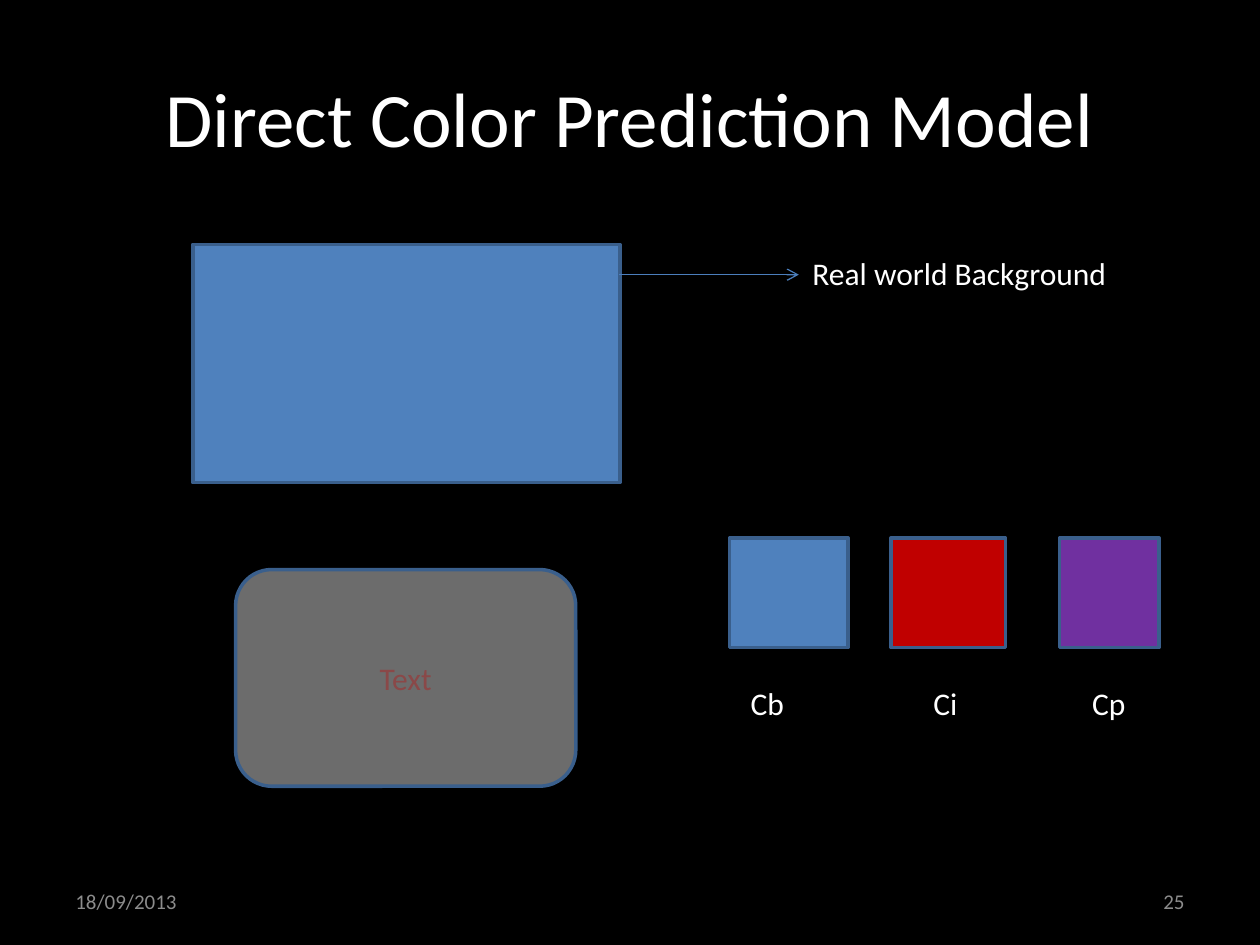
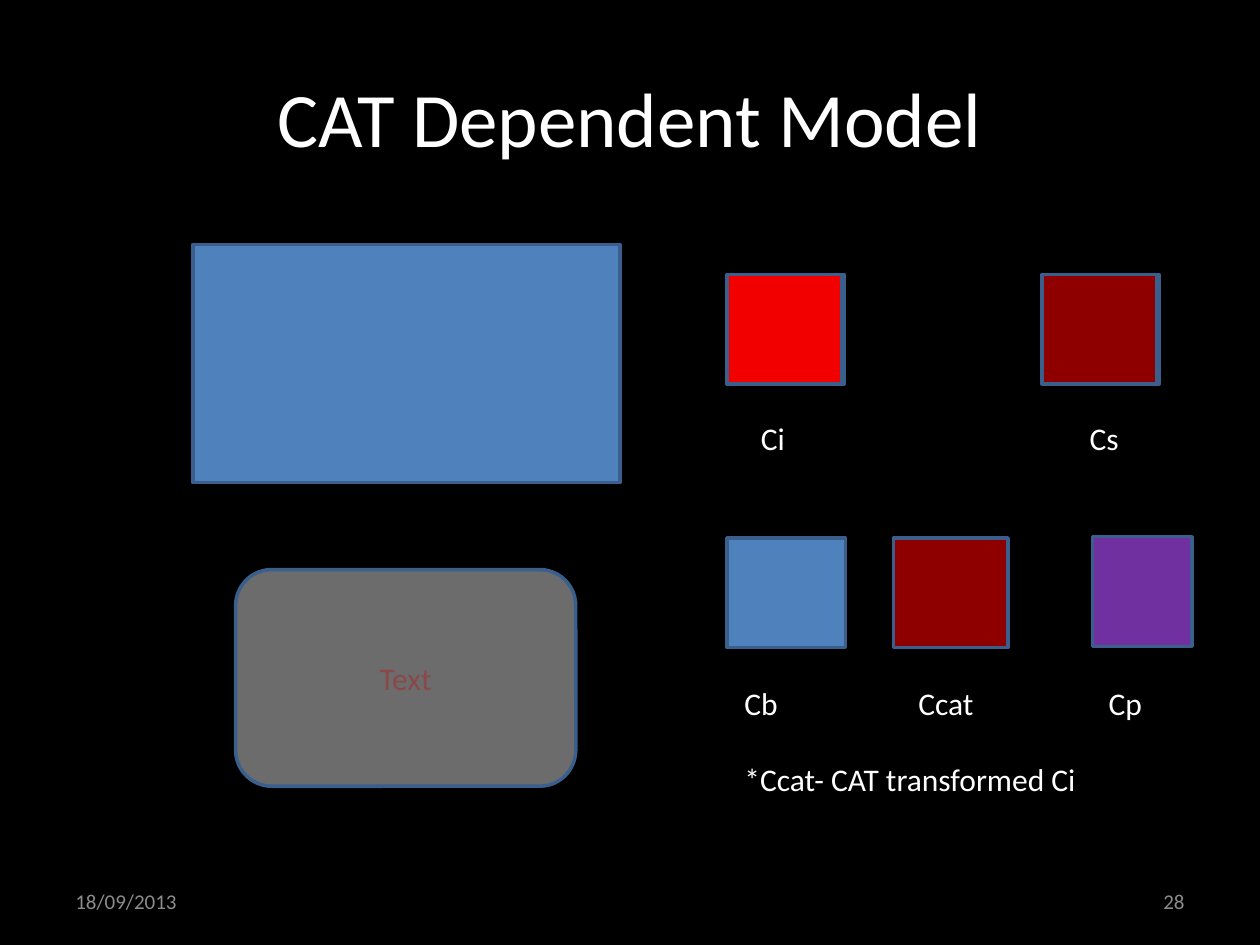
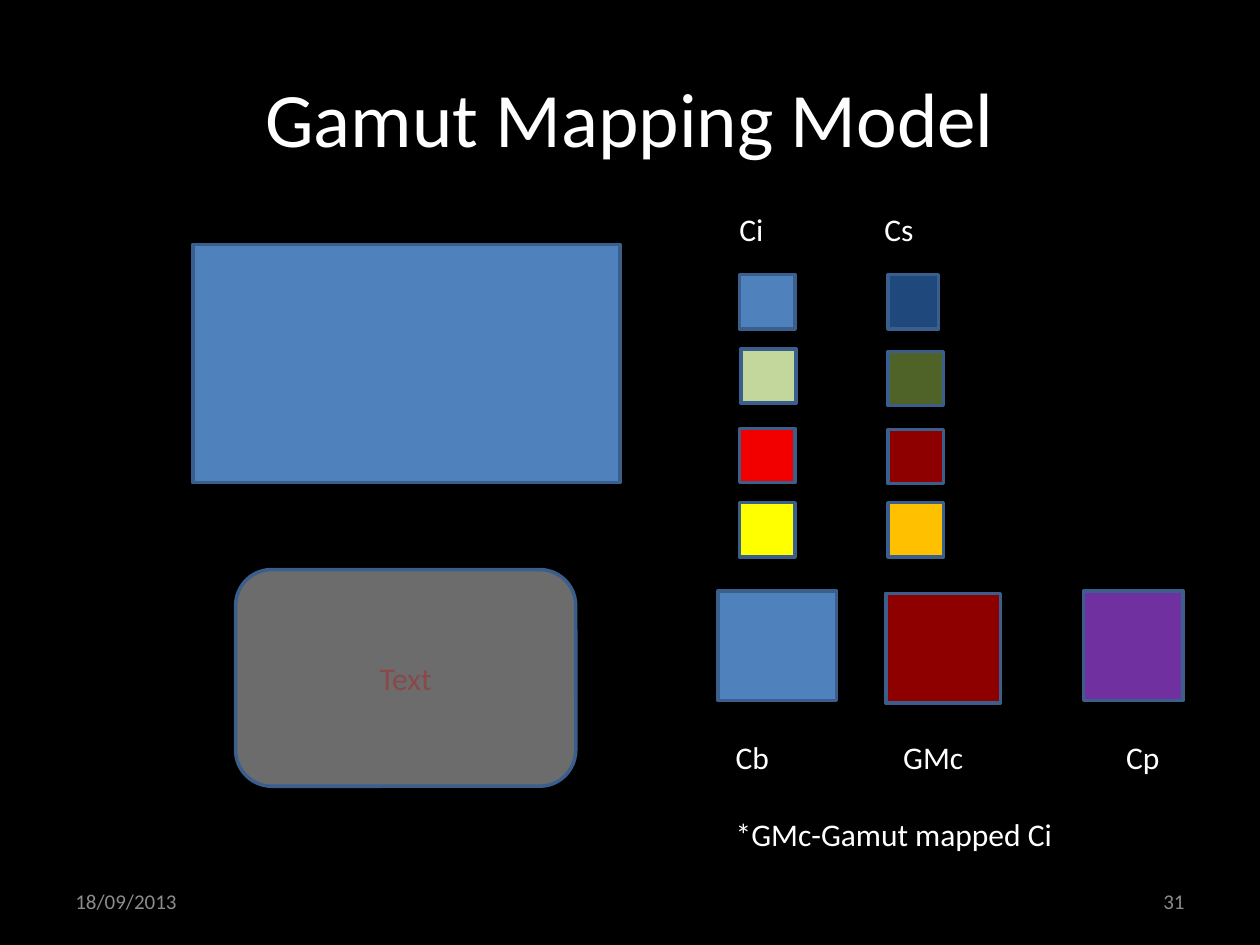
from lxml.etree import SubElement
from pptx import Presentation
from pptx.dml.color import RGBColor
from pptx.enum.shapes import MSO_CONNECTOR, MSO_SHAPE
from pptx.enum.text import MSO_ANCHOR, MSO_AUTO_SIZE, PP_ALIGN
from pptx.oxml.ns import qn
from pptx.util import Inches, Pt

COLUMNS, ROWS = 100, 75
BLACK, WHITE = "000000", "FFFFFF"
BLUE, OUTLINE, ARROW = "4F81BD", "3A5F8C", "4B7EBC"
RED, BRIGHT_RED, DARK_RED = "C00000", "F20000", "8E0000"
PURPLE, NAVY, LIGHT_GREEN, OLIVE = "7030A0", "1F497D", "C3D69B", "4F6228"
YELLOW, ORANGE = "FFFF00", "FFC000"
PANEL, PANEL_TEXT, FOOTER = "D9D9D9", "8A4848", "8C8C8C"
LARGE, WIDE, NARROW, SMALL = (9.1, 8.7), (9.4, 8.7), (7.9, 8.7), (4.4, 4.3)


def color(value):
    return RGBColor.from_string(value)


class Painter:
    font_name = "Calibri"

    def __init__(self):
        self.deck = Presentation()
        self.deck.slide_width, self.deck.slide_height = Inches(10), Inches(7.5)
        self.slide = None

    def x(self, columns):
        return round(self.deck.slide_width * columns / COLUMNS)

    def y(self, rows):
        return round(self.deck.slide_height * rows / ROWS)

    def place(self, left, top, width, height):
        return self.x(left), self.y(top), self.x(width), self.y(height)

    def style(self, para, size, text_color):
        for span in para.runs:
            span.font.name = self.font_name
            span.font.size = Pt(size)
            span.font.color.rgb = color(text_color)

    def text(self, words, at, size=18, text_color=WHITE, align=PP_ALIGN.LEFT,
             anchor=MSO_ANCHOR.TOP, wrap=True):
        box = self.slide.shapes.add_textbox(*self.place(*at))
        frame = box.text_frame
        frame.auto_size = MSO_AUTO_SIZE.NONE
        frame.word_wrap = wrap
        frame.vertical_anchor = anchor
        frame.text = words
        for para in frame.paragraphs:
            para.alignment = align
            self.style(para, size, text_color)
        return frame

    def labels(self, words, at, stops, note=None):
        frame = self.text(words, at)
        para = frame.paragraphs[0]
        tab_list = SubElement(para._p.get_or_add_pPr(), qn("a:tabLst"))
        for stop in stops:
            SubElement(tab_list, qn("a:tab"), pos=str(self.x(stop)), algn="l")
        if note:
            remark = frame.add_paragraph()
            remark.text = note
            remark.space_before = Pt(22)
            self.style(remark, 18, WHITE)

    def shape(self, at, fill, kind=MSO_SHAPE.RECTANGLE):
        shape = self.slide.shapes.add_shape(kind, *self.place(*at))
        shape.shadow.inherit = False
        shape.fill.solid()
        shape.fill.fore_color.rgb = color(fill)
        shape.line.color.rgb = color(OUTLINE)
        shape.line.width = Pt(2)
        return shape

    def swatch(self, left, top, fill, size=LARGE):
        self.shape((left, top, *size), fill)

    def panel(self, words):
        panel = self.shape((18.7, 45.2, 27, 17.2), PANEL, MSO_SHAPE.ROUNDED_RECTANGLE)
        fill = panel._element.spPr.find(qn("a:solidFill"))
        SubElement(fill[0], qn("a:alpha"), val="50000")
        frame = panel.text_frame
        frame.text = words
        frame.vertical_anchor = MSO_ANCHOR.MIDDLE
        para = frame.paragraphs[0]
        para.alignment = PP_ALIGN.CENTER
        self.style(para, 18, PANEL_TEXT)

    def arrow(self, left, right, row):
        arrow = self.slide.shapes.add_connector(
            MSO_CONNECTOR.STRAIGHT, self.x(left), self.y(row), self.x(right), self.y(row))
        arrow.line.color.rgb = color(ARROW)
        arrow.line.width = Pt(0.75)
        SubElement(arrow.line._get_or_add_ln(), qn("a:tailEnd"), type="arrow")
        SubElement(arrow._element.spPr, qn("a:effectLst"))

    def page(self, title, number):
        self.slide = self.deck.slides.add_slide(self.deck.slide_layouts[6])
        background = self.slide.background.fill
        background.solid()
        background.fore_color.rgb = color(BLACK)
        self.text(title, (5, 3, 90, 12.5), 44, align=PP_ALIGN.CENTER,
                  anchor=MSO_ANCHOR.MIDDLE)
        self.shape((15.3, 19.4, 33.9, 18.9), BLUE)
        self.panel("Text")
        for words, left, align in (("18/09/2013", 5, PP_ALIGN.LEFT),
                                   (number, 71.7, PP_ALIGN.RIGHT)):
            self.text(words, (left, 69.5, 23.3, 4), 12, FOOTER, align, MSO_ANCHOR.MIDDLE)


def direct_prediction(painter):
    painter.page("Direct Color Prediction Model", "25")
    painter.arrow(49.1, 63.4, 21.8)
    painter.text("Real world Background", (63.5, 19.7, 25.6, 4), wrap=False)
    painter.swatch(57.9, 42.7, BLUE, WIDE)
    painter.swatch(70.7, 42.7, RED)
    painter.swatch(84.1, 42.7, PURPLE, NARROW)
    painter.labels("\tCb\tCi\tCp", (58.1, 53.8, 36, 7.1), (0.5, 15, 27.6))


def cat_dependent(painter):
    painter.page("CAT Dependent Model", "28")
    for left in (57.9, 57.7):
        painter.swatch(left, 21.8, BRIGHT_RED)
        painter.swatch(left + 25, 21.8, DARK_RED)
    painter.labels("\tCi\tCs", (55.5, 32.8, 40.2, 4), (3.9, 30))
    painter.swatch(57.7, 42.7, BLUE, WIDE)
    painter.swatch(70.9, 42.7, DARK_RED)
    painter.swatch(86.7, 42.6, PURPLE, NARROW)
    painter.labels("Cb\tCcat\tCp", (58.1, 53.8, 38.4, 13.1), (13.8, 28.9),
                   "*Ccat- CAT transformed Ci")


def gamut_mapping(painter):
    painter.page("Gamut Mapping Model", "31")
    painter.labels("\tCi\tCs", (55.5, 16.2, 40.2, 4), (2.2, 13.7))
    for left, top, fill, size in (
        (58.7, 21.8, BLUE, SMALL), (70.5, 21.8, NAVY, (4, 4.3)),
        (58.8, 27.7, LIGHT_GREEN, SMALL), (70.5, 27.9, OLIVE, SMALL),
        (58.7, 34, BRIGHT_RED, SMALL), (70.5, 34.1, DARK_RED, SMALL),
        (58.7, 39.9, YELLOW, SMALL), (70.5, 39.9, ORANGE, SMALL),
        (57, 46.9, BLUE, WIDE), (70.3, 47.1, DARK_RED, LARGE),
        (86, 46.9, PURPLE, NARROW),
    ):
        painter.swatch(left, top, fill, size)
    painter.labels("Cb\tGMc\tCp", (57.4, 58.1, 38.4, 13.1), (13.3, 31),
                   "*GMc-Gamut mapped Ci")


def main():
    painter = Painter()
    for draw in (direct_prediction, cat_dependent, gamut_mapping):
        draw(painter)
    painter.deck.save("out.pptx")


if __name__ == "__main__":
    main()
